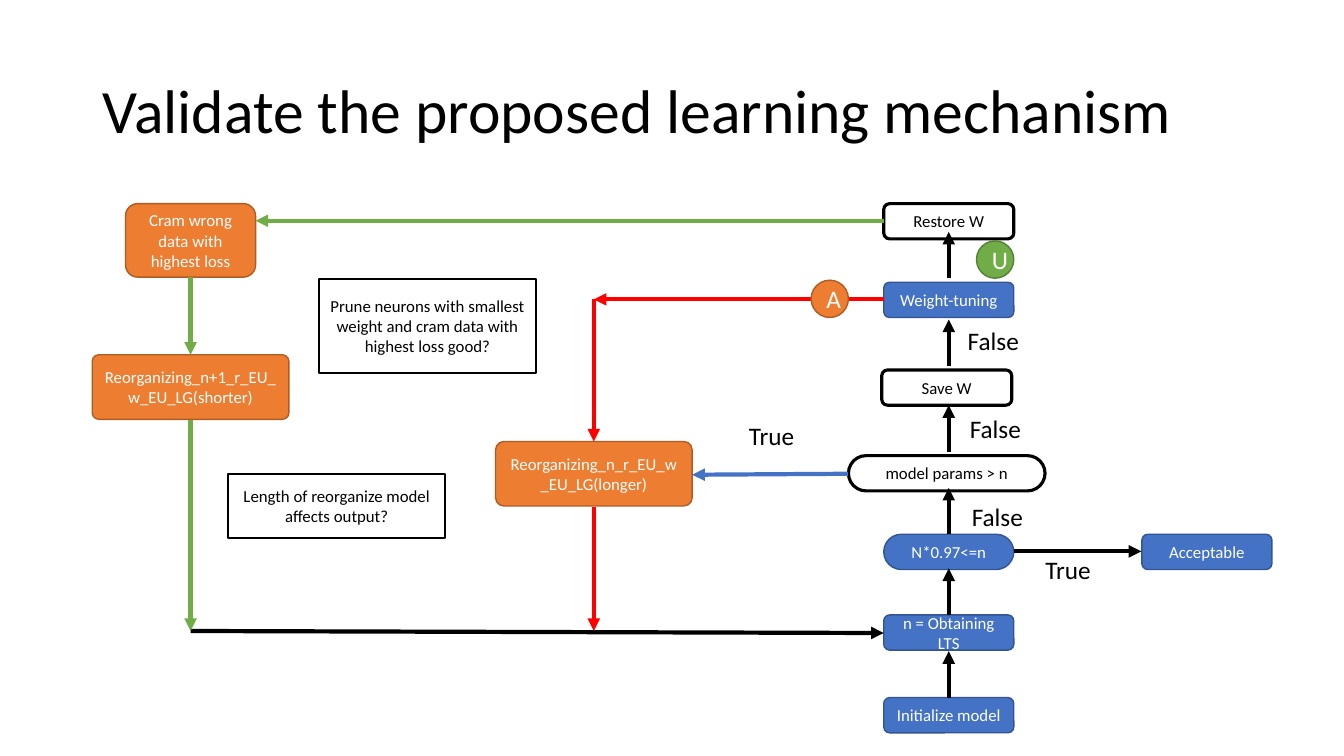
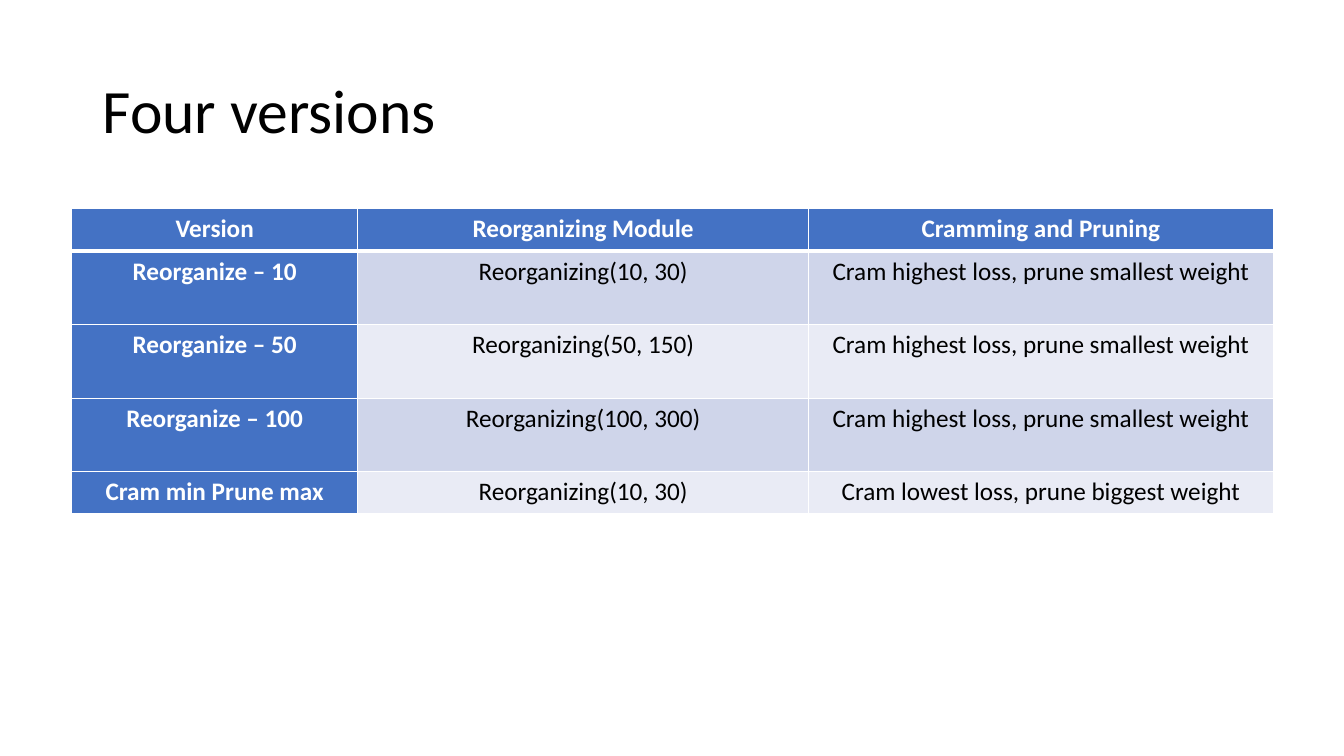
from lxml import etree
from pptx import Presentation
from pptx import util as u
from pptx.dml.color import RGBColor
from pptx.enum import shapes, text
from pptx.oxml.ns import qn

# Shared look
FONT = "Calibri"
BLACK, WHITE, RED = "000000", "FFFFFF", "FF0000"
BLUE, ORANGE, GREEN = "4472C4", "ED7D31", "70AD47"
BAND_DARK, BAND_LIGHT = "CFD5EA", "E9EBF5"
TITLE_BOX = (0.92, 0.4, 11.5, 1.45)

# Node styles: fill, outline, outline width, text colour
PROCESS = (BLUE, "325491", 1, WHITE)
REORGANIZE = (ORANGE, "AF5C24", 1, WHITE)
UNLEARNED = (GREEN, "538035", 1, WHITE)
OUTLINED = (WHITE, BLACK, 2.25, BLACK)
QUESTION = (WHITE, BLACK, 1.5, BLACK)

ROUND = shapes.MSO_SHAPE.ROUNDED_RECTANGLE
RECT = shapes.MSO_SHAPE.RECTANGLE
OVAL = shapes.MSO_SHAPE.OVAL


def rgb(value):
    return RGBColor.from_string(value)


def inches(values):
    return [u.Inches(value) for value in values]


def write(frame, words, size, color, align=text.PP_ALIGN.LEFT, bold=False):
    frame.word_wrap = True
    frame.text = words
    for paragraph in frame.paragraphs:
        paragraph.alignment = align
        font = paragraph.font
        font.name, font.size, font.bold = FONT, u.Pt(size), bold
        font.color.rgb = rgb(color)


def add_title(slide, words):
    frame = slide.shapes.add_textbox(*inches(TITLE_BOX)).text_frame
    frame.vertical_anchor = text.MSO_ANCHOR.MIDDLE
    write(frame, words, 44, BLACK)
    frame.paragraphs[0].line_spacing = 0.9


def add_node(slide, words, box, style, kind=ROUND, corner=None, size=12):
    fill, outline, width, color = style
    node = slide.shapes.add_shape(kind, *inches(box))
    node.shadow.inherit = False
    if corner is not None:
        node.adjustments[0] = corner
    node.fill.solid()
    node.fill.fore_color.rgb = rgb(fill)
    node.line.color.rgb = rgb(outline)
    node.line.width = u.Pt(width)
    node.text_frame.vertical_anchor = text.MSO_ANCHOR.MIDDLE
    write(node.text_frame, words, size, color, text.PP_ALIGN.CENTER)


def add_arrow(slide, ends, color):
    arrow = slide.shapes.add_connector(shapes.MSO_CONNECTOR.STRAIGHT, *inches(ends))
    arrow.line.color.rgb = rgb(color)
    arrow.line.width = u.Pt(3)
    properties = arrow._element.spPr
    etree.SubElement(properties.find(qn("a:ln")), qn("a:tailEnd"), type="triangle")
    etree.SubElement(properties, qn("a:effectLst"))


def add_flowchart(slide, left, top):
    """Draw the learning loop; all positions below count from left and top."""
    step_w, step_h, wide_w, wide_h = 1.29, 0.35, 1.95, 0.64
    main, shorter, longer = 8.49, 0.97, 4.97  # centres of the three columns
    step_left, step_right = main - step_w / 2, main + step_w / 2
    return_y = 4.24

    def node(words, center, y, w, h, style, **options):
        add_node(slide, words, (left + center - w / 2, top + y, w, h), style, **options)

    def arrow(x1, y1, x2, y2, color=BLACK):
        add_arrow(slide, (left + x1, top + y1, left + x2, top + y2), color)

    # Main column, top to bottom, and its exit
    for words, center, y, w, style, corner in (
            ("Restore W", main, 0, step_w, OUTLINED, None),
            ("Weight-tuning", main, 0.78, step_w, PROCESS, None),
            ("Save W", main - 0.02, 1.65, step_w, OUTLINED, None),
            ("model params > n", main - 0.02, 2.5, wide_w, OUTLINED, 0.5),
            ("N*0.97<=n", main, 3.28, step_w, PROCESS, 0.5),
            ("n = Obtaining\nLTS", main, 4.08, step_w, PROCESS, None),
            ("Initialize model", main, 4.9, step_w, PROCESS, None),
            ("Acceptable", 11.05, 3.28, step_w, PROCESS, None)):
        node(words, center, y, w, step_h, style, corner=corner)

    # Reorganizing branches
    node("Reorganizing_n_r_EU_w_EU_LG(longer)", longer, 2.36, wide_w, wide_h,
         REORGANIZE, corner=0.13)
    node("Reorganizing_n+1_r_EU_w_EU_LG(shorter)", shorter, 1.5, wide_w, wide_h,
         REORGANIZE, corner=0.1)
    node("Cram wrong data with highest loss", shorter, 0, step_w, 0.73, REORGANIZE)

    # Upward arrows of the main column
    for y in (4.9, 4.08, 3.28, 2.46, 1.61, 0.74):
        arrow(main, y, main, y - 0.46)

    # Branch arrows
    arrow(step_right, 3.45, 10.4, 3.45)
    arrow(7.49, 2.68, longer + wide_w / 2, 2.69, BLUE)
    arrow(step_left, 0.17, shorter + step_w / 2, 0.17, GREEN)
    arrow(step_left, 0.95, longer, 0.95, RED)
    arrow(longer, 0.95, longer, 2.36, RED)
    arrow(shorter, 0.73, shorter, 1.5, GREEN)
    arrow(shorter, return_y, step_left, return_y + 0.02)
    arrow(shorter, 2.15, shorter, return_y, GREEN)
    arrow(longer, 3.01, longer, return_y, RED)

    # Decision labels
    for words, x, y in (("True", 6.41, 2.1), ("True", 9.35, 3.43), ("False", 8.62, 2.9),
                        ("False", 8.6, 2.03), ("False", 8.58, 1.16)):
        label = slide.shapes.add_textbox(*inches((left + x, top + y, 0.86, 0.4)))
        write(label.text_frame, words, 18, BLACK)

    # Outcome badges
    node("A", 7.31, 0.76, 0.37, 0.37, REORGANIZE, kind=OVAL, size=18)
    node("U", 8.95, 0.37, 0.37, 0.37, UNLEARNED, kind=OVAL, size=18)

    # Open questions
    node("Prune neurons with smallest weight and cram data with highest loss good?",
         3.32, 0.75, 2.15, 0.93, QUESTION, kind=RECT)
    node("Length of reorganize model affects output?",
         2.42, 2.68, 2.15, wide_h, QUESTION, kind=RECT)


def add_borders(cell, widths):
    properties = cell._tc.get_or_add_tcPr()
    for side, width in widths.items():
        edge = etree.SubElement(properties, qn("a:ln" + side), w=str(u.Pt(width)))
        fill = etree.SubElement(edge, qn("a:solidFill"))
        etree.SubElement(fill, qn("a:srgbClr"), val=WHITE)


def add_versions(slide, left, top, widths, heights, rows):
    box = inches((left, top, sum(widths), sum(heights)))
    table = slide.shapes.add_table(len(rows), len(widths), *box).table
    for column, width in zip(table.columns, widths):
        column.width = u.Inches(width)
    for r, (height, row) in enumerate(zip(heights, rows)):
        table.rows[r].height = u.Inches(height)
        for c, words in enumerate(row):
            cell = table.cell(r, c)
            heading = r == 0 or c == 0
            band = BAND_DARK if r % 2 else BAND_LIGHT
            add_borders(cell, {"L": 1, "R": 1, "T": 3 if r == 1 else 1,
                               "B": 3 if r == 0 else 1})
            cell.fill.solid()
            cell.fill.fore_color.rgb = rgb(BLUE if heading else band)
            write(cell.text_frame, words, 18, WHITE if heading else BLACK,
                  text.PP_ALIGN.CENTER, heading)


deck = Presentation()
deck.slide_width, deck.slide_height = inches((13.33, 7.5))
blank = deck.slide_layouts[6]

mechanism = deck.slides.add_slide(blank)
add_title(mechanism, "Validate the proposed learning mechanism")
add_flowchart(mechanism, 0.92, 2.02)

versions = deck.slides.add_slide(blank)
add_title(versions, "Four versions")
HIGHEST = "Cram highest loss, prune smallest weight"
add_versions(versions, 0.71, 2.07, (2.84, 4.47, 4.61), (0.42, 0.73, 0.73, 0.73, 0.42), (
    ("Version", "Reorganizing Module", "Cramming and Pruning"),
    ("Reorganize – 10", "Reorganizing(10, 30)", HIGHEST),
    ("Reorganize – 50", "Reorganizing(50, 150)", HIGHEST),
    ("Reorganize – 100", "Reorganizing(100, 300)", HIGHEST),
    ("Cram min Prune max", "Reorganizing(10, 30)", "Cram lowest loss, prune biggest weight"),
))

deck.save("out.pptx")
